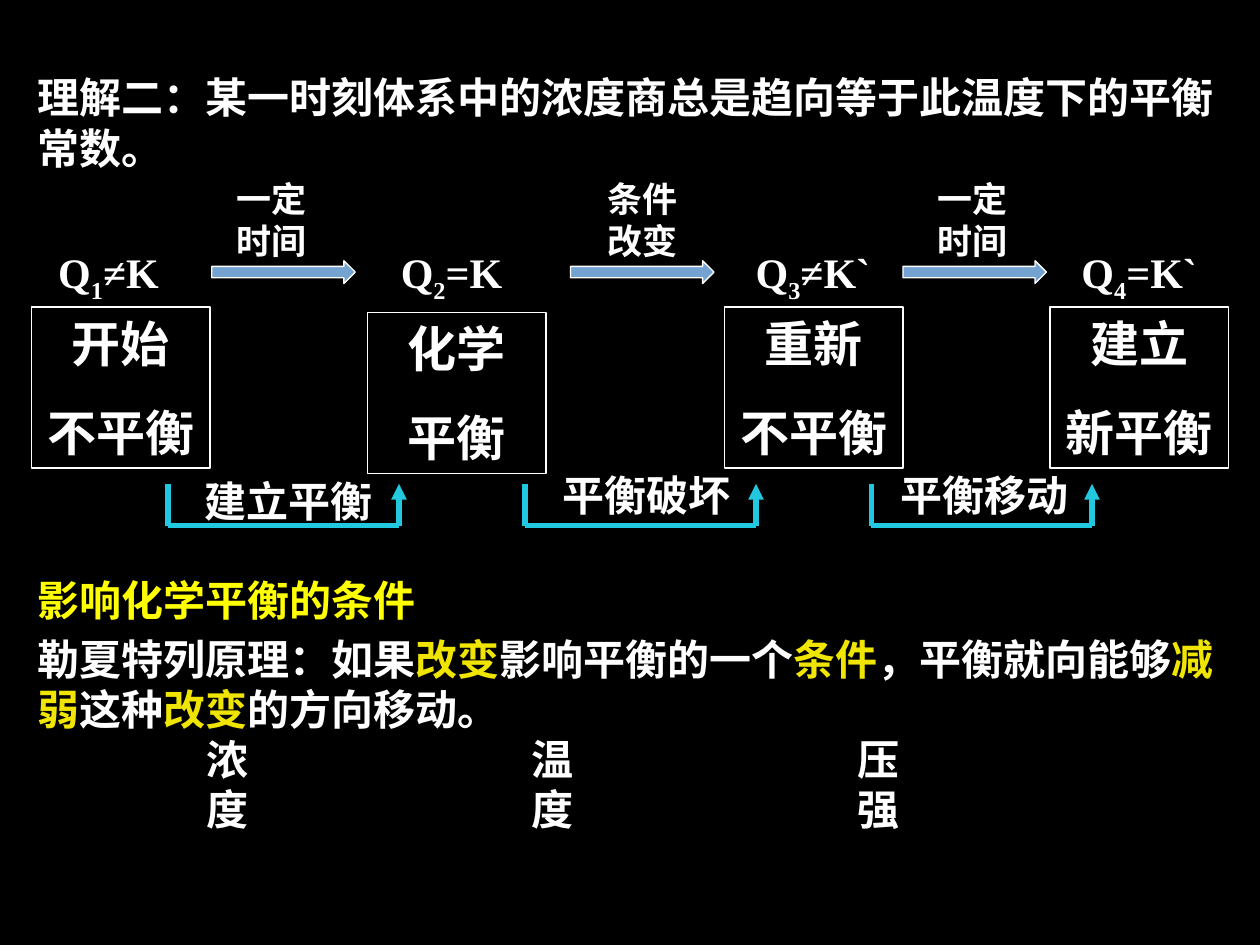
from lxml.etree import SubElement
from pptx import Presentation
from pptx.dml.color import RGBColor
from pptx.enum.shapes import MSO_CONNECTOR, MSO_SHAPE
from pptx.enum.text import MSO_ANCHOR, PP_ALIGN
from pptx.oxml.ns import qn
from pptx.util import Pt

BLACK = RGBColor(0x00, 0x00, 0x00)
WHITE = RGBColor(0xFF, 0xFF, 0xFF)
YELLOW = RGBColor(0xFF, 0xFF, 0x00)
GOLD = RGBColor(0xF0, 0xE5, 0x00)
CYAN = RGBColor(0x21, 0xC8, 0xDF)
BLUE = RGBColor(0x75, 0xA3, 0xD1)
SERIF, SANS, CJK = "Times New Roman", "Arial", "Noto Sans CJK SC"


def write(shape, paragraphs, size=24, font=SERIF, color=WHITE, align=PP_ALIGN.LEFT,
          before=0, anchor=MSO_ANCHOR.TOP, inset=(7.2, 3.6), wrap=True):
    """Fill a shape with paragraphs, each a list of (text, run overrides)."""
    frame = shape.text_frame
    frame.word_wrap = wrap
    frame.vertical_anchor = anchor
    frame.margin_left = frame.margin_right = Pt(inset[0])
    frame.margin_top = frame.margin_bottom = Pt(inset[1])
    for index, runs in enumerate(paragraphs):
        paragraph = frame.add_paragraph() if index else frame.paragraphs[0]
        paragraph.alignment = align
        paragraph.space_before = Pt(before)
        for text, style in runs:
            run = paragraph.add_run()
            run.text = text
            run.font.size = Pt(size)
            run.font.bold = True
            run.font.name = style.get("font", font)
            run.font.color.rgb = style.get("color", color)
            if "baseline" in style:
                run.font._element.set("baseline", str(style["baseline"]))


def add_text(shapes, box, text, **style):
    """Add a text box holding a single run."""
    write(shapes.add_textbox(*map(Pt, box)), [[(text, {})]], **style)


def add_block(shapes, kind, box, line, fill=None):
    """Add a preset shape with a thin outline and an optional fill."""
    shape = shapes.add_shape(kind, *map(Pt, box))
    shape.shadow.inherit = False
    shape.line.color.rgb = line
    shape.line.width = Pt(0.75)
    if fill is None:
        shape.fill.background()
    else:
        shape.fill.solid()
        shape.fill.fore_color.rgb = fill
    return shape


def add_heading(slide, box, text):
    """Place the statement in the title placeholder."""
    title = slide.shapes.title
    title.left, title.top, title.width, title.height = map(Pt, box)
    write(title, [[(text, {})]], before=15)


def add_stage(slide, box, label_box, number, relation, lines):
    """Draw one state of the system with its quotient label above."""
    state = add_block(slide.shapes, MSO_SHAPE.RECTANGLE, box, WHITE)
    write(state, [[(line, {})] for line in lines], size=28, align=PP_ALIGN.CENTER, before=17.5)
    label = add_block(slide.shapes, MSO_SHAPE.RECTANGLE, label_box, BLACK)
    runs = [("Q", {}), (number, {"baseline": -25000}), (relation, {})]
    write(label, [runs], align=PP_ALIGN.CENTER, before=15,
          anchor=MSO_ANCHOR.MIDDLE, inset=(0, 0))


def add_step(slide, box, caption_box, caption):
    """Draw a block arrow between two states with its caption."""
    add_text(slide.shapes, caption_box, caption, size=20, font=SANS, before=12.5)
    add_block(slide.shapes, MSO_SHAPE.RIGHT_ARROW, box, WHITE, BLUE)


def add_bracket(slide, box, label_box, text):
    """Draw a U-shaped arrow with its label as one group."""
    left, top, width, height = box
    right, bottom = left + width, top + height
    shapes = slide.shapes.add_group_shape().shapes
    for ends in ((left, bottom, right, bottom), (left, top, left, bottom),
                 (right, bottom, right, top)):
        connector = shapes.add_connector(MSO_CONNECTOR.STRAIGHT, *map(Pt, ends))
        connector.line.color.rgb = CYAN
        connector.line.width = Pt(3)
        SubElement(connector._element.spPr, qn("a:effectLst"))
    SubElement(connector.line._get_or_add_ln(), qn("a:tailEnd"), type="triangle")
    add_text(shapes, label_box, text, font=CJK, before=15)


def add_principle(slide, box):
    """Write the principle, its heading and the three factors."""
    left, top, width, height = box
    add_text(slide.shapes, (left, top, 358, 36), "影响化学平衡的条件", color=YELLOW)
    key = {"font": CJK, "color": GOLD}
    runs = [("勒夏特列原理：如果", {}), ("改变", key), ("影响平衡的一个", {}),
            ("条件", key), ("，平衡就向能够", {}), ("减弱", key), ("这种", {}),
            ("改变", key), ("的方向移动。", {})]
    write(slide.shapes.add_textbox(Pt(left), Pt(top + 34), Pt(width), Pt(65)), [runs])
    for column, factor in enumerate(("浓度", "温度", "压强")):
        factor_box = (left + 96.5 + 186 * column, top + height - 36, 62, 36)
        add_text(slide.shapes, factor_box, factor, wrap=False)


def main():
    """Build the slide and save it."""
    presentation = Presentation()
    presentation.slide_width, presentation.slide_height = Pt(720), Pt(540)
    slide = presentation.slides.add_slide(presentation.slide_layouts[5])
    slide.background.fill.solid()
    slide.background.fill.fore_color.rgb = BLACK

    add_heading(slide, (14.4, 37.5, 705.6, 65),
                "理解二：某一时刻体系中的浓度商总是趋向等于此温度下的平衡常数。")
    for left, top, label_left, label_width, number, relation, lines in (
            (18, 175.5, 2, 120, "1", "≠K", ("开始", "不平衡")),
            (210, 178.5, 198, 120, "2", "=K", ("化学", "平衡")),
            (414, 175.5, 404.5, 120, "3", "≠K`", ("重新", "不平衡")),
            (600, 175.5, 582, 138, "4", "=K`", ("建立", "新平衡"))):
        add_stage(slide, (left, top, 102, 92), (label_left, 141, label_width, 33),
                  number, relation, lines)
    for left, caption_left, caption_width, caption in (
            (121, 128, 60, "一定时间"), (326, 340, 60, "条件改变"),
            (516, 528.5, 55, "一定时间")):
        add_step(slide, (left, 149, 82, 13), (caption_left, 98, caption_width, 55.5), caption)
    for left, width, label_left, label_top, text in (
            (96, 132, 110, 268, "建立平衡"), (300, 132, 314.5, 265, "平衡破坏"),
            (498, 126, 507.5, 265, "平衡移动")):
        add_bracket(slide, (left, 276.5, width, 24), (label_left, label_top, 114, 36), text)
    add_principle(slide, (14.4, 324.5, 700.5, 127))
    presentation.save("out.pptx")


if __name__ == "__main__":
    main()
